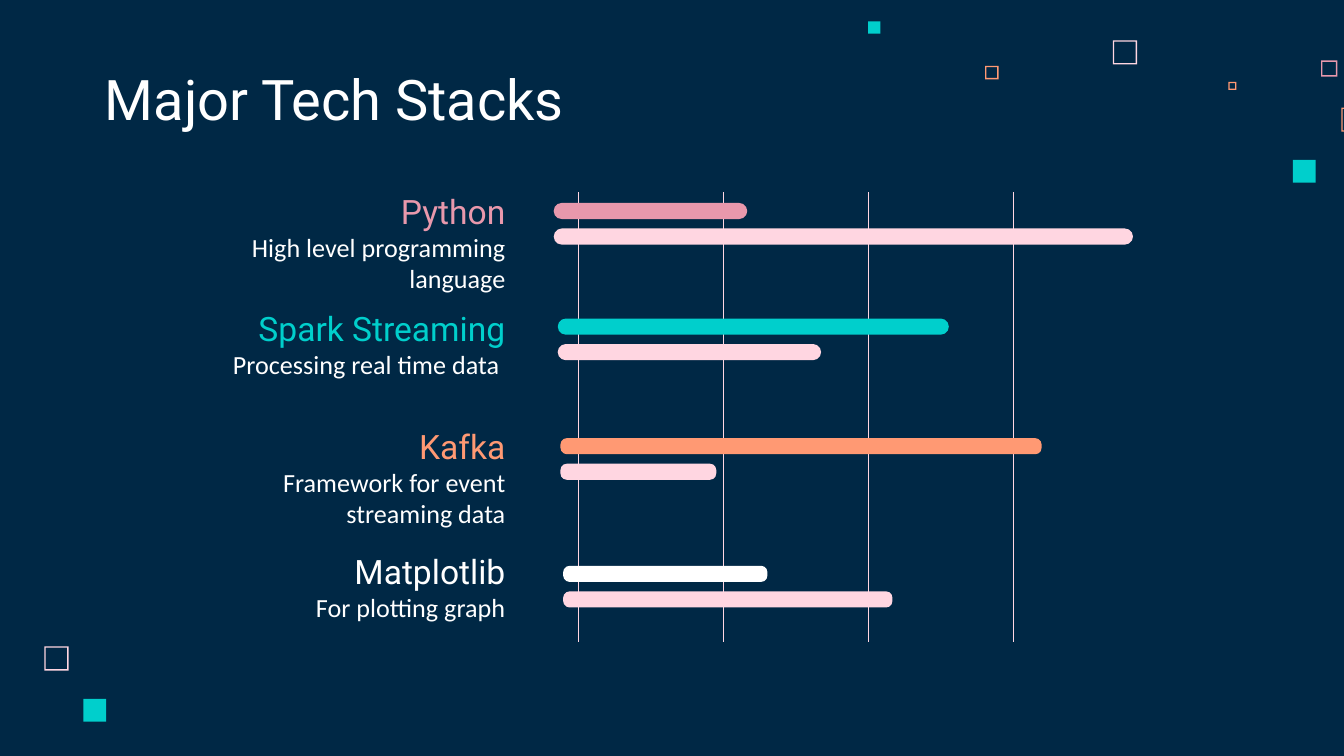
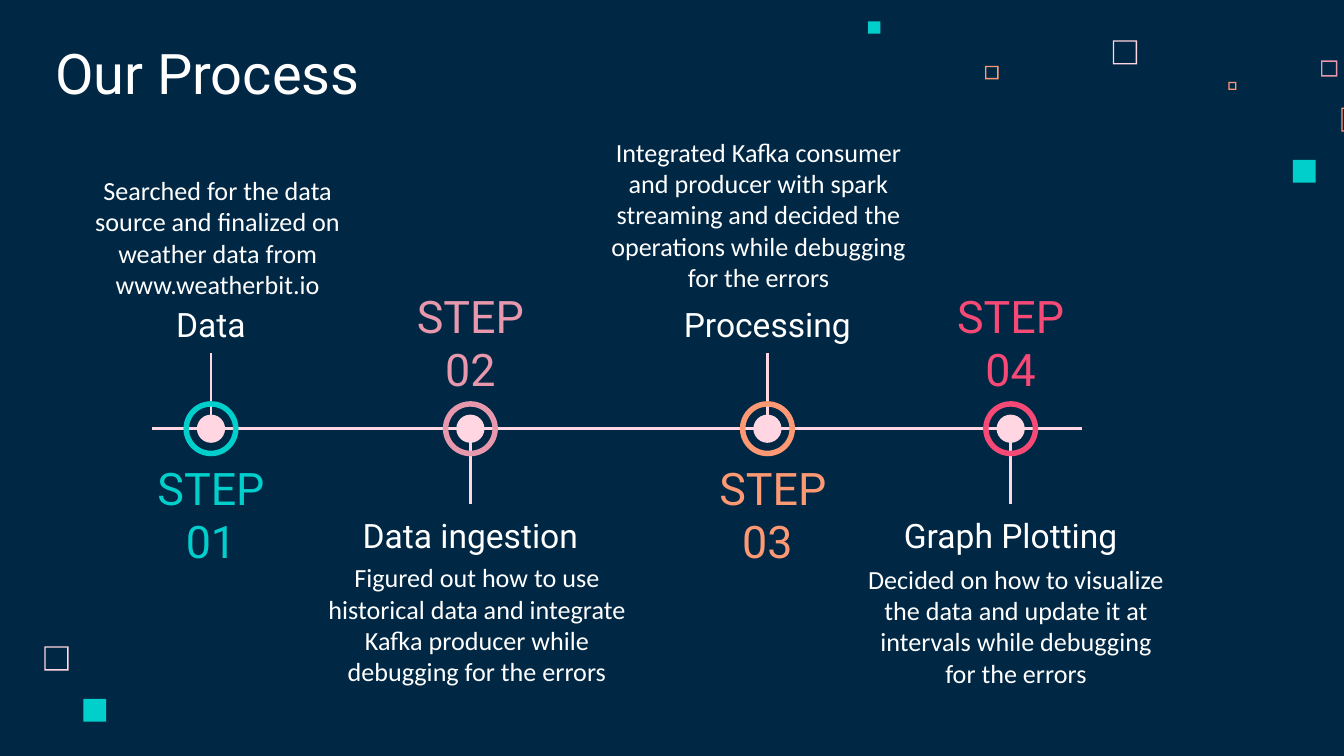
from lxml import etree
from pptx import Presentation
from pptx.dml.color import RGBColor
from pptx.enum.shapes import MSO_CONNECTOR, MSO_SHAPE
from pptx.enum.text import MSO_ANCHOR, MSO_AUTO_SIZE, PP_ALIGN
from pptx.oxml.ns import qn
from pptx.util import Inches, Pt

TOP, MIDDLE, BOTTOM = MSO_ANCHOR.TOP, MSO_ANCHOR.MIDDLE, MSO_ANCHOR.BOTTOM
LEFT, CENTER, RIGHT = PP_ALIGN.LEFT, PP_ALIGN.CENTER, PP_ALIGN.RIGHT
RECTANGLE, FRAME = MSO_SHAPE.RECTANGLE, MSO_SHAPE.FRAME
ROUNDED, OVAL, DONUT = MSO_SHAPE.ROUNDED_RECTANGLE, MSO_SHAPE.OVAL, MSO_SHAPE.DONUT
STRAIGHT = MSO_CONNECTOR.STRAIGHT
TITLE_ONLY = 5

# Shared style, on a 16:9 slide
SLIDE_WIDTH = 10
SLIDE_HEIGHT = SLIDE_WIDTH * 9 / 16
NAVY, WHITE, BLUSH, ROSE = "002845", "FFFFFF", "FFD6E1", "E898AC"
TEAL, ORANGE, RED = "00CFCC", "FF9973", "F64975"
HEADING_FONT, BODY_FONT = "Roboto", "Calibri"

# Scattered squares: left, top, size, colour, hollow
SQUARES = [
    (8.28, 0.3, 0.18, BLUSH, True),
    (9.83, 0.45, 0.12, ROSE, True),
    (9.14, 0.61, 0.06, ORANGE, True),
    (9.98, 0.8, 0.18, ORANGE, True),
    (9.62, 1.19, 0.17, TEAL, False),
    (7.33, 0.49, 0.1, ORANGE, True),
    (6.46, 0.16, 0.09, TEAL, False),
    (0.33, 4.81, 0.18, BLUSH, True),
    (0.62, 5.2, 0.17, TEAL, False),
]
SQUARE_BORDER = 0.01

# Tech stacks: name, caption, caption width, colour, row top,
# (bar left, bar top, corner), two bar lengths
STACKS = [
    ("Python", "High level programming language", 2.45, ROSE, 1.39,
     (4.12, 1.51, 0.5), (1.44, 4.31)),
    ("Spark Streaming ", "Processing real time data ", 2.36, TEAL, 2.26,
     (4.15, 2.37, 0.5), (2.91, 1.96)),
    ("Kafka", "Framework for event streaming data", 2.61, ORANGE, 3.14,
     (4.17, 3.26, 0.4), (3.58, 1.16)),
    ("Matplotlib", "For plotting graph", 2.61, WHITE, 4.07,
     (4.19, 4.21, 0.4), (1.52, 2.45)),
]
LABEL_RIGHT = 3.86
BAR_HEIGHT, BAR_PITCH = 0.12, 0.19
GRID_LEFT, GRID_PITCH, GRID_COUNT = 4.3, 1.08, 4
GRID_TOP, GRID_BOTTOM = 1.43, 4.78

# Process steps: centre, colour, number, heading, caption, caption box
STEPS = [
    (1.57, TEAL, "STEP 01", "Data",
     "Searched for the data source and finalized on weather data from "
     "www.weatherbit.io", (0.48, 1.07, 2.28, 1.26)),
    (3.5, ROSE, "STEP 02", "Data ingestion",
     "Figured out how to use historical data and integrate Kafka producer "
     "while debugging for the errors", (2.23, 4.08, 2.64, 1.43)),
    (5.71, ORANGE, " STEP 03", "Processing",
     "Integrated Kafka consumer and producer with spark streaming and decided "
     "the operations while debugging for the errors", (4.38, 1.01, 2.53, 1.27)),
    (7.52, RED, "STEP 04", "Graph Plotting",
     "Decided on how to visualize the data and update it at intervals while "
     "debugging for the errors", (6.35, 4.09, 2.42, 1.54)),
]
# Stem ends, heading top, number top and text anchors on either side of the line
ABOVE = ((2.63, 3.13), 2.16, 3.59, TOP, BOTTOM)
BELOW = ((3.26, 3.75), 3.76, 2.31, BOTTOM, TOP)
LINE_Y = 3.19


def rgb(color):
    return RGBColor.from_string(color)


def add_filled(slide, kind, box, color, adjustment=None):
    shape = slide.shapes.add_shape(kind, *map(Inches, box))
    shape.shadow.inherit = False
    shape.fill.solid()
    shape.fill.fore_color.rgb = rgb(color)
    shape.line.fill.background()
    if adjustment is not None:
        shape.adjustments[0] = adjustment


def add_line(slide, start, end, width):
    connector = slide.shapes.add_connector(STRAIGHT, *map(Inches, start + end))
    connector.line.color.rgb = rgb(BLUSH)
    connector.line.width = Pt(width)
    etree.SubElement(connector._element.spPr, qn("a:effectLst"))


def format_text(shape, text, size, color, font, align, anchor):
    frame = shape.text_frame
    frame.word_wrap = True
    frame.auto_size = MSO_AUTO_SIZE.NONE
    frame.vertical_anchor = anchor
    frame.margin_left = frame.margin_right = Inches(0.1)
    frame.margin_top = frame.margin_bottom = Inches(0.1)
    paragraph = frame.paragraphs[0]
    paragraph.text = text
    paragraph.alignment = align
    paragraph.font.name = font
    paragraph.font.size = Pt(size)
    paragraph.font.color.rgb = rgb(color)


def add_heading(slide, box, text, size, color, align, anchor):
    shape = slide.shapes.add_textbox(*map(Inches, box))
    format_text(shape, text, size, color, HEADING_FONT, align, anchor)


def add_caption(slide, box, text, align, anchor):
    shape = slide.shapes.add_textbox(*map(Inches, box))
    format_text(shape, text, 14, WHITE, BODY_FONT, align, anchor)


def add_slide(presentation, title, left, top):
    slide = presentation.slides.add_slide(presentation.slide_layouts[TITLE_ONLY])
    for x, y, size, color, hollow in SQUARES:
        add_filled(slide, FRAME if hollow else RECTANGLE, (x, y, size, size),
                   color, SQUARE_BORDER / size if hollow else None)
    shape = slide.shapes.title
    shape.left, shape.top = Inches(left), Inches(top)
    shape.width, shape.height = Inches(5.17), Inches(0.63)
    format_text(shape, title, 30, WHITE, HEADING_FONT, LEFT, BOTTOM)
    return slide


def build_stacks(presentation):
    slide = add_slide(presentation, "Major Tech Stacks", 0.68, 0.45)
    # Grid lines
    for index in range(GRID_COUNT):
        x = GRID_LEFT + index * GRID_PITCH
        add_line(slide, (x, GRID_TOP), (x, GRID_BOTTOM), 0.25)
    # Bars and labels
    for name, caption, width, color, top, bar, lengths in STACKS:
        bar_left, bar_top, corner = bar
        for index, (length, fill) in enumerate(zip(lengths, (color, BLUSH))):
            box = (bar_left, bar_top + index * BAR_PITCH, length, BAR_HEIGHT)
            add_filled(slide, ROUNDED, box, fill, corner)
        add_heading(slide, (LABEL_RIGHT - 2.06, top, 2.06, 0.43),
                    name, 18, color, RIGHT, BOTTOM)
        add_caption(slide, (LABEL_RIGHT - width, top + 0.23, width, 0.71),
                    caption, RIGHT, TOP)


def build_process(presentation):
    slide = add_slide(presentation, "Our Process", 0.31, 0.26)
    # Timeline
    add_line(slide, (1.13, LINE_Y), (8.05, LINE_Y), 1.5)
    # Steps alternate above and below the line
    for index, (x, color, number, heading, caption, box) in enumerate(STEPS):
        stem, heading_top, number_top, heading_anchor, caption_anchor = (
            BELOW if index % 2 else ABOVE)
        add_line(slide, (x, stem[0]), (x, stem[1]), 1.5)
        for kind, size, fill, hole in ((OVAL, 0.21, BLUSH, None),
                                       (DONUT, 0.41, color, 0.1)):
            add_filled(slide, kind, (x - size / 2, LINE_Y - size / 2, size, size),
                       fill, hole)
        add_heading(slide, (x - 1.03, heading_top, 2.06, 0.47),
                    heading, 18, WHITE, CENTER, heading_anchor)
        add_caption(slide, box, caption, CENTER, caption_anchor)
        add_heading(slide, (x - 0.7, number_top, 1.4, 0.47),
                    number, 24, color, CENTER, MIDDLE)


def main():
    presentation = Presentation()
    presentation.slide_width = Inches(SLIDE_WIDTH)
    presentation.slide_height = Inches(SLIDE_HEIGHT)
    background = presentation.slide_master.background.fill
    background.solid()
    background.fore_color.rgb = rgb(NAVY)
    build_stacks(presentation)
    build_process(presentation)
    presentation.save("out.pptx")


if __name__ == "__main__":
    main()
